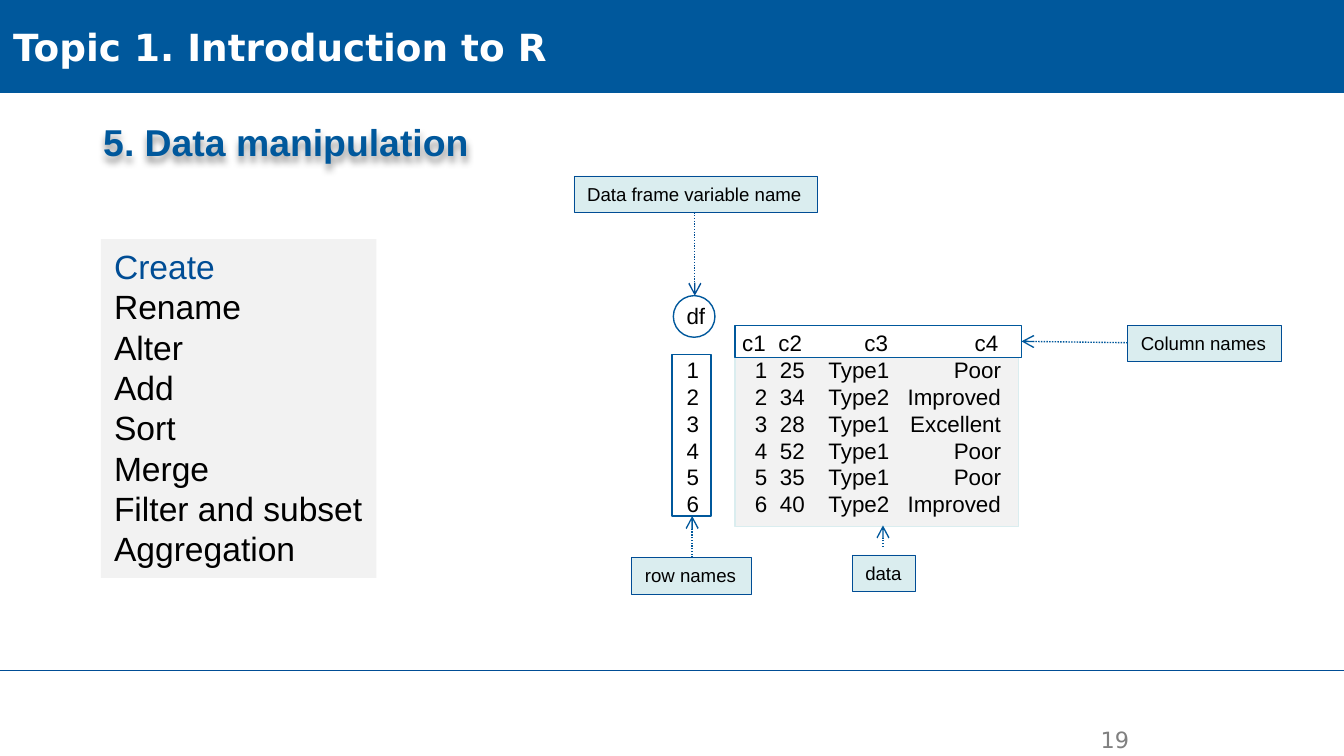
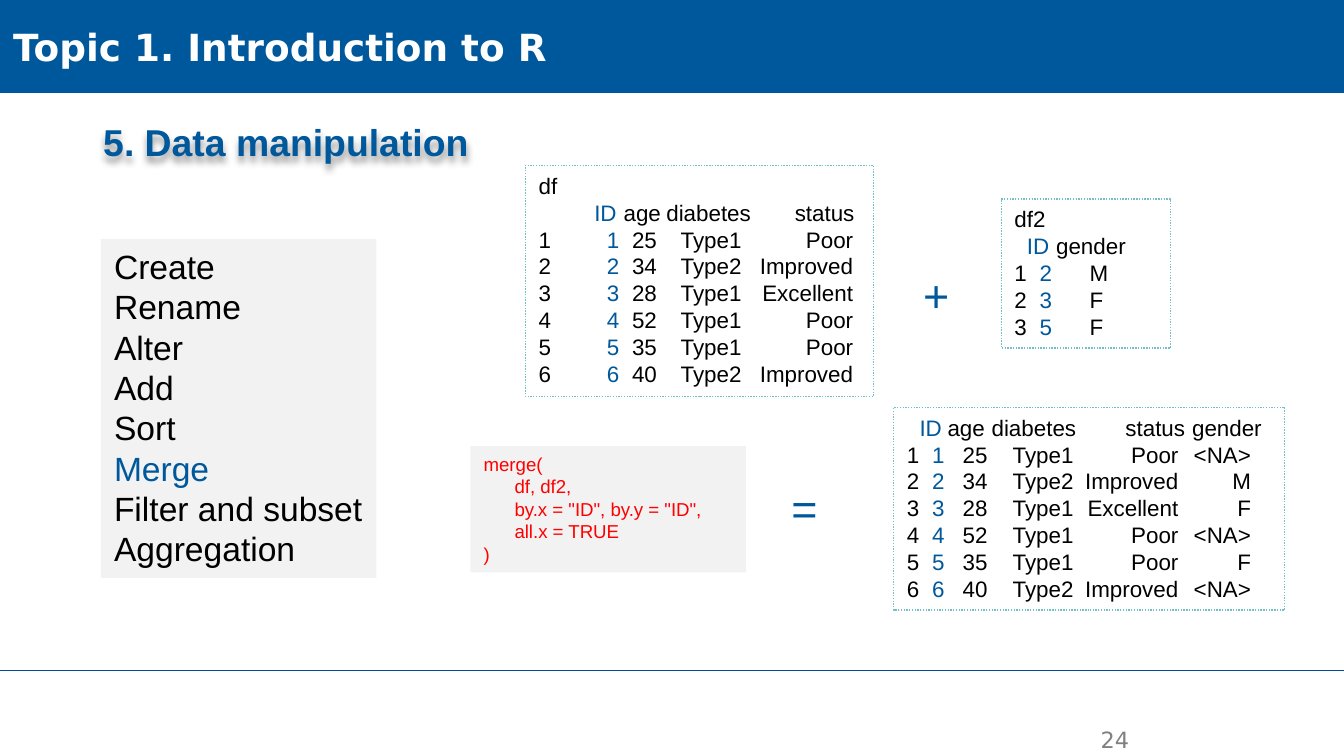
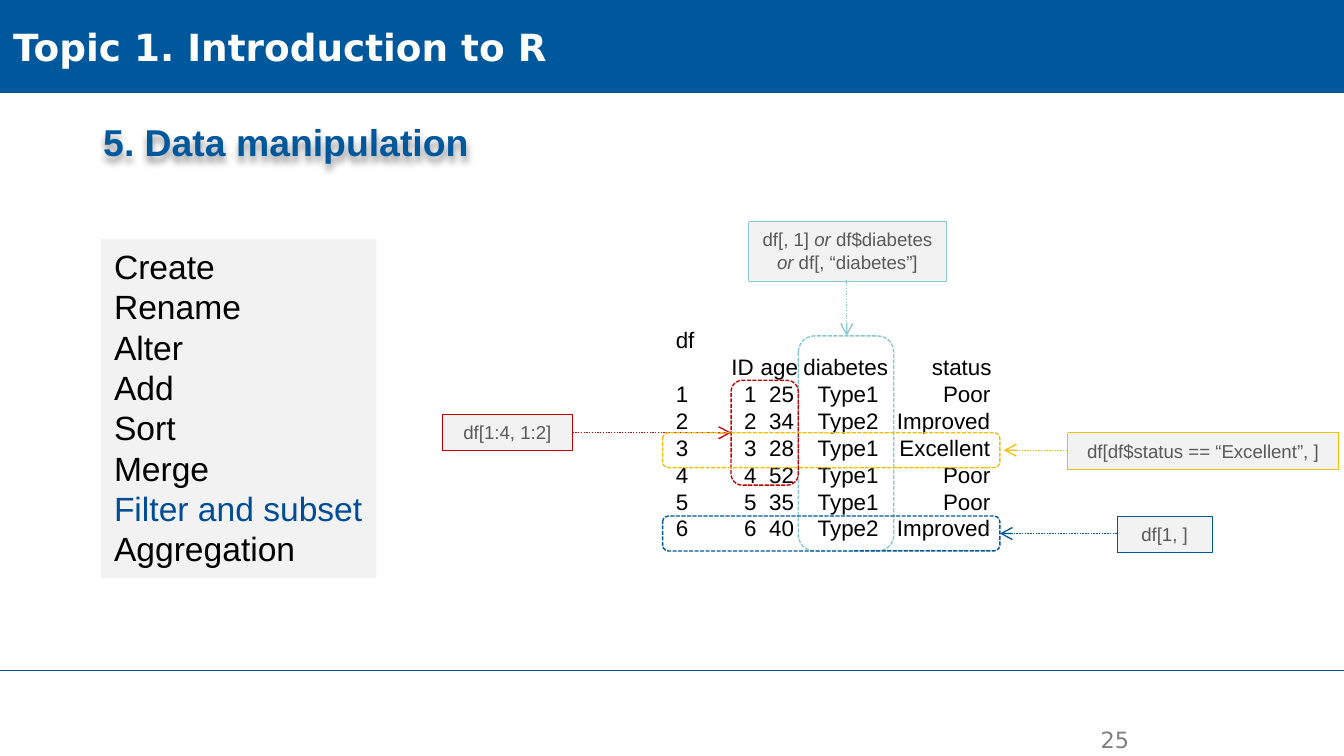
from lxml import etree
from pptx import Presentation
from pptx.dml.color import RGBColor
from pptx.enum import dml, shapes, text
from pptx.oxml import ns
from pptx import util as u

WIDTH = u.Inches(10)
HEIGHT = u.Emu(WIDTH * 9 // 16)
CELL = WIDTH / 100
BLUE, NAVY, TEAL, PALE, GREY = "00589C", "004D95", "72BFC5", "DAEDEF", "F2F2F2"
BLACK, WHITE, RED = "000000", "FFFFFF", "FF0000"
DOT, DASH = dml.MSO_LINE.ROUND_DOT, dml.MSO_LINE.SQUARE_DOT
RECT, ROUND, OVAL = (shapes.MSO_SHAPE.RECTANGLE, shapes.MSO_SHAPE.ROUNDED_RECTANGLE,
                     shapes.MSO_SHAPE.OVAL)
LEFT, CENTER, RIGHT = text.PP_ALIGN.LEFT, text.PP_ALIGN.CENTER, text.PP_ALIGN.RIGHT

TOPICS = ["Create", "Rename", "Alter", "Add", "Sort", "Merge", "Filter and subset", "Aggregation"]
PATIENTS = [("1", "25", "Type1", "Poor"), ("2", "34", "Type2", "Improved"),
            ("3", "28", "Type1", "Excellent"), ("4", "52", "Type1", "Poor"),
            ("5", "35", "Type1", "Poor"), ("6", "40", "Type2", "Improved")]
GENDERS = {"2": "M", "3": "F", "5": "F"}
FIELDS = ("ID", "age", "diabetes", "status")
ROW_STOPS = [(0.6, "r"), (0.88, "r"), (1.51, "r"), (2.34, "r")]
FIELD_STOPS = [(0.58, "r"), (0.91, "r"), (1.58, "r"), (2.35, "r")]


def rgb(value):
    """Turn a hex string into a colour."""
    return RGBColor.from_string(value)


def grid(*counts):
    """Turn counts of grid cells into lengths."""
    return [u.Emu(round(count * CELL)) for count in counts]


def add_xml(parent, tag, **attributes):
    """Append a DrawingML element and return it."""
    return etree.SubElement(parent, ns.qn(tag), attributes)


def style_line(line, color, width, dash=None):
    """Set colour, width and dash of a line."""
    line.color.rgb = rgb(color)
    line.width = u.Pt(width)
    if dash:
        line.dash_style = dash


def write(box, lines, size=12, color=BLACK, font="Arial", bold=False, align=LEFT,
          anchor=text.MSO_ANCHOR.TOP, wrap=True, grow=True):
    """Write lines, each a string or a list of (text, overrides), and return the paragraphs."""
    frame = box.text_frame
    frame.word_wrap = wrap
    frame.vertical_anchor = anchor
    frame.auto_size = text.MSO_AUTO_SIZE.SHAPE_TO_FIT_TEXT if grow else text.MSO_AUTO_SIZE.NONE
    for index, line in enumerate(lines):
        para = frame.add_paragraph() if index else frame.paragraphs[0]
        para.alignment = align
        for words, change in [(line, {})] if isinstance(line, str) else line:
            span = para.add_run()
            span.text = words
            span.font.name, span.font.size, span.font.bold = font, u.Pt(size), bold
            span.font.italic = change.get("italic", False)
            span.font.color.rgb = rgb(change.get("color", color))
    return frame.paragraphs


def add_box(page, at, kind=RECT, fill=None, line=None, width=0.75, dash=None):
    """Draw a preset shape on the grid."""
    box = page.shapes.add_shape(kind, *grid(*at))
    box.shadow.inherit = False
    if fill:
        box.fill.solid()
        box.fill.fore_color.rgb = rgb(fill)
    else:
        box.fill.background()
    if line:
        style_line(box.line, line, width, dash)
    else:
        box.line.fill.background()
    return box


def add_label(page, at, words, **style):
    """Place a plain text box on the grid."""
    box = page.shapes.add_textbox(*grid(*at))
    write(box, [words], **style)
    return box


def add_line(page, start, end, color, width=0.75, dash=None, arrow=False):
    """Draw a straight line, with an arrowhead at its end if asked."""
    link = page.shapes.add_connector(shapes.MSO_CONNECTOR.STRAIGHT, *grid(*start, *end))
    style_line(link.line, color, width, dash)
    if arrow:
        add_xml(link.line._get_or_add_ln(), "a:tailEnd", type="arrow")
    add_xml(link._element.spPr, "a:effectLst")


def add_arrow(page, start, end, color=BLUE):
    """Draw a dotted arrow."""
    add_line(page, start, end, color, dash=DOT, arrow=True)


def add_tag(page, at, words):
    """Draw a pale label for a part of the data frame."""
    box = add_box(page, at, fill=PALE, line=NAVY, width=0.25)
    write(box, [words], size=10, wrap=False)


def set_stops(para, stops):
    """Give a paragraph its tab stops."""
    tabs = add_xml(para._p.get_or_add_pPr(), "a:tabLst")
    for inches, side in stops:
        add_xml(tabs, "a:tab", pos=str(u.Inches(inches)), algn=side)


def add_frame(page, at, fields, rows, name=None, field_stops=FIELD_STOPS,
              row_stops=ROW_STOPS, key=BLACK, line=None):
    """Print a data frame with numbered rows and its first field in the key colour."""
    box = add_box(page, at, line=line, dash=DOT) if line else page.shapes.add_textbox(*grid(*at))
    numbered = [("", fields)] + [(str(n), row) for n, row in enumerate(rows, 1)]
    lines = [[(number + "\t", {}), (row[0], {"color": key}), ("\t" + "\t".join(row[1:]), {})]
             for number, row in numbered]
    paras = write(box, ([name] if name else []) + lines)
    for index, para in enumerate(paras[-len(lines):]):
        set_stops(para, row_stops if index else field_stops)


def add_heading(page, words):
    """Write the section heading with a soft shadow."""
    box = add_label(page, (6.7, 8.4, 29.4, 4.4), words, size=20, color=BLUE, bold=True, wrap=False)
    effects = add_xml(box._element.spPr, "a:effectLst")
    shadow = add_xml(effects, "a:outerShdw", blurRad="50800", dist="38100", dir="5400000",
                     algn="t", rotWithShape="0")
    add_xml(add_xml(shadow, "a:srgbClr", val=BLACK), "a:alpha", val="40000")


def add_page(deck, number, topic, accent=BLUE):
    """Start a page with band, heading, topic list, rule and number."""
    page = deck.slides.add_slide(deck.slide_layouts[6])
    add_line(page, (0, 49.9), (100, 49.9), NAVY, width=0.5)
    band = add_box(page, (0, 0, 100, 6.9), fill=BLUE, line=BLUE)
    write(band, ["Topic 1. Introduction to R"], size=20, color=WHITE, font="DejaVu Sans",
          bold=True, anchor=text.MSO_ANCHOR.MIDDLE, grow=False)
    add_label(page, (75.8, 53.5, 9.2, 2.8), str(number), color="808080", font="DejaVu Sans",
              align=RIGHT, grow=False)
    add_heading(page, "5. Data manipulation")
    topics = add_box(page, (7.5, 17.8, 20.5, 25.2), fill=GREY)
    write(topics, [[(name, {"color": accent if name == topic else BLACK})] for name in TOPICS],
          size=18)
    return page


def build_create(deck):
    """Show the parts of a data frame."""
    page = add_page(deck, 19, "Create", NAVY)
    add_box(page, (54.7, 26.6, 21.1, 12.6), fill=GREY, line=PALE)
    add_frame(page, (50.1, 22, 25.9, 17.2), ("c1", "c2", "c3", "c4"), PATIENTS, "df",
              field_stops=[(stop, "r") for stop in (0.59, 0.86, 1.5, 2.32)])
    add_box(page, (50.1, 22, 3.1, 3.1), OVAL, line=BLUE)
    add_tag(page, (42.7, 13.1, 18.1, 2.7), "Data frame variable name")
    add_arrow(page, (51.7, 15.8), (51.7, 22), NAVY)
    add_box(page, (54.7, 24.2, 21.3, 2.4), line=BLUE)
    add_tag(page, (83.9, 24.2, 11.4, 2.7), "Column names")
    add_arrow(page, (83.9, 25.5), (76, 25.4))
    add_box(page, (50, 26.4, 2.9, 12), line=BLUE)
    add_arrow(page, (51.5, 41.7), (51.5, 38.4))
    add_tag(page, (47, 41.5, 8.9, 2.7), "row names")
    add_arrow(page, (65.7, 40.7), (65.7, 39.1))
    add_tag(page, (63.4, 41.3, 4.7, 2.7), "data")


def build_merge(deck):
    """Show two data frames and their merger."""
    page = add_page(deck, 24, "Merge")
    look = {"key": BLUE, "line": TEAL}
    add_frame(page, (39.1, 12.3, 25.9, 17.2), FIELDS, PATIENTS, "df", **look)
    add_frame(page, (74.5, 14.8, 12.6, 11.1), ("ID", "gender"), list(GENDERS.items()), "df2",
              field_stops=[(0.26, "r"), (0.31, "l")], row_stops=[(0.28, "r"), (0.56, "l")], **look)
    merged = [row + (GENDERS.get(row[0], "<NA>"),) for row in PATIENTS]
    add_frame(page, (66.5, 30.3, 29.1, 15.1), FIELDS + ("gender",), merged,
              field_stops=[(stop, "r") for stop in (0.26, 0.58, 1.26, 2.07, 2.64)],
              row_stops=[(stop, "r") for stop in (0.28, 0.6, 1.24, 2.02, 2.56)], **look)
    for sign, left, top in [("+", 67.7, 19.4), ("=", 57.9, 35.3)]:
        add_label(page, (left, top, 5.5, 5), sign, size=24, color=BLUE)
    code = add_box(page, (35, 33.2, 20.5, 9.4), fill=GREY)
    paras = write(code, ["merge(", "df, df2,", 'by.x = "ID", by.y = "ID",', "all.x = TRUE", ")"],
                  size=10, color=RED)
    for para in paras[1:-1]:
        para._p.get_or_add_pPr().set("marL", str(u.Inches(0.23)))


def build_filter(deck):
    """Show which cells each expression selects."""
    page = add_page(deck, 25, "Filter and subset", NAVY)
    add_frame(page, (49.3, 23.8, 25.9, 17.2), FIELDS, PATIENTS, "df")
    italic = {"italic": True}
    column = [("df[, 1] ", {}), ("or ", italic), ("df$diabetes ", {}), ("or", italic),
              (" df[, “diabetes”]", {})]
    selections = [
        ("8AC6CD", (59.4, 25, 7.1, 16), (55.7, 16.5, 14.7, 4.4), column, (63, 20.8), (63, 25)),
        (BLUE, (49.3, 38.4, 25.1, 2.6), (83.1, 38.4, 7.1, 2.7), "df[1, ]",
         (83.1, 39.7), (74.4, 39.7)),
        ("C00000", (54.4, 28.3, 5, 7.8), (32.9, 30.8, 9.7, 2.7), "df[1:4, 1:2]",
         (42.6, 32.2), (54.4, 32.2)),
        ("EFC203", (49.3, 32.2, 25.1, 2.6), (79.4, 32.2, 20.2, 2.7),
         "df[df$status == “Excellent”, ]", (79.4, 33.5), (74.7, 33.5)),
    ]
    for color, cells, at, words, start, end in selections:
        add_box(page, cells, ROUND, line=color, dash=DASH)
        note = add_box(page, at, fill=GREY, line=color, width=0.25, dash=DOT)
        write(note, [words], size=10, color="595959", align=CENTER)
        add_arrow(page, start, end, color)


def main():
    """Build and save the deck."""
    deck = Presentation()
    deck.slide_width, deck.slide_height = WIDTH, HEIGHT
    build_create(deck)
    build_merge(deck)
    build_filter(deck)
    deck.save("out.pptx")


if __name__ == "__main__":
    main()
